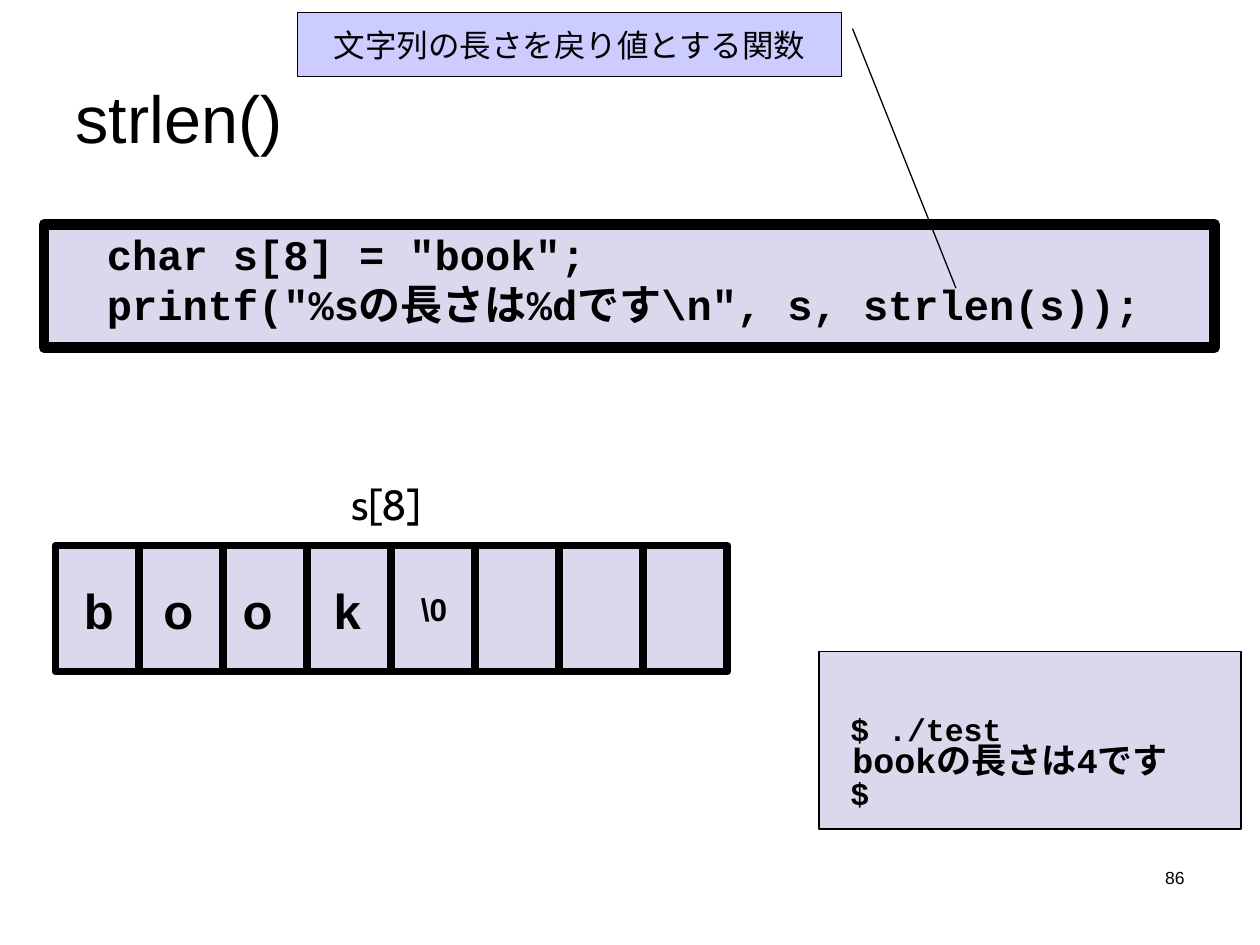
import pptx
import pptx.util
import pptx.dml.color
import pptx.enum.shapes
import pptx.enum.text
from dataclasses import dataclass
from typing import Optional

Inches = pptx.util.Inches
Pt = pptx.util.Pt
SHAPE = pptx.enum.shapes.MSO_SHAPE
ALIGN = pptx.enum.text.PP_ALIGN
ANCHOR = pptx.enum.text.MSO_ANCHOR

COLORS = {"ink": "000000", "panel": "D9D8EC", "callout": "CCCCFF"}


@dataclass
class Box:
    left: float
    top: float
    width: float
    height: float
    fill: str = "panel"
    line: Optional[float] = None
    shape: int = SHAPE.RECTANGLE


@dataclass
class Line:
    text: str
    size: float
    font: str = "Arial"
    bold: bool = False
    align: int = ALIGN.LEFT


def rgb(name: str) -> pptx.dml.color.RGBColor:
    return pptx.dml.color.RGBColor.from_string(COLORS[name])


def add_box(s, box: Box):
    sp = s.shapes.add_shape(box.shape, Inches(box.left), Inches(box.top),
                            Inches(box.width), Inches(box.height))
    sp.shadow.inherit = False
    sp.fill.solid()
    sp.fill.fore_color.rgb = rgb(box.fill)
    if box.line is None:
        sp.line.fill.background()
    else:
        sp.line.color.rgb = rgb("ink")
        sp.line.width = Pt(box.line)
    return sp


def add_label(s, left: float, top: float, width: float, height: float, line: Line):
    sp = s.shapes.add_textbox(Inches(left), Inches(top), Inches(width), Inches(height))
    write(sp, [line])


def write(sp, lines: list[Line], anchor: int = ANCHOR.TOP, margin_top: float = 0.05,
          spacing: float = 1.0, gap: float = 0) -> None:
    tf = sp.text_frame
    tf.word_wrap = True
    tf.vertical_anchor = anchor
    tf.margin_top = Inches(margin_top)
    for i, line in enumerate(lines):
        p = tf.add_paragraph() if i else tf.paragraphs[0]
        p.text = line.text
        p.alignment = line.align
        p.line_spacing = spacing
        p.space_before = Pt(gap if i else 0)
        p.font.name = line.font
        p.font.size = Pt(line.size)
        p.font.bold = line.bold
        p.font.color.rgb = rgb("ink")


def main() -> None:
    prs = pptx.Presentation()
    prs.slide_width, prs.slide_height = Inches(10), Inches(7.5)
    s = prs.slides.add_slide(prs.slide_layouts[5])

    # Title and page number
    title = s.shapes.title
    title.left, title.top = Inches(0.5), Inches(0.3)
    title.width, title.height = Inches(9), Inches(1.25)
    write(title, [Line("strlen()", 38)], anchor=ANCHOR.MIDDLE)
    add_label(s, 7.17, 6.83, 2.33, 0.5, Line("86", 10, align=ALIGN.RIGHT))

    # Source code
    code = add_box(s, Box(0.35, 1.78, 9.29, 0.98, line=6))
    write(code, [Line('  char s[8] = "book";', 24, "Courier New", True),
                 Line('  printf("%sの長さは%dです\\n", s, strlen(s));', 24, "Courier New", True)],
          margin_top=0.13, spacing=0.75, gap=7)

    # Array s[8]: backing, eight cells, then the stored characters
    add_box(s, Box(0.47, 4.33, 5.28, 1, line=0.75))
    cell = 2 / 3
    for i in range(8):
        add_box(s, Box(0.44 + i * cell, 4.33, cell, 1, line=4.5))
    add_label(s, 2.44, 3.75, 1.25, 0.5, Line("s[8]", 24, "Cabin", align=ALIGN.CENTER))
    for char, left in (("b", 0.55), ("o", 1.18), ("o", 1.81), ("k", 2.52)):
        write(add_box(s, Box(left, 4.53, 0.47, 0.57)),
              [Line(char, 28, bold=True, align=ALIGN.CENTER)], margin_top=0.08)
    write(add_box(s, Box(3.16, 4.61, 0.57, 0.4)),
          [Line("\\0", 18, bold=True, align=ALIGN.CENTER)], margin_top=0.07)

    # Program output
    output = add_box(s, Box(6.5, 5.17, 3.35, 1.41, line=0.75))
    write(output, [Line(text, size, "Courier New", True) for text, size in
                   ((" $ ./test", 18), (" bookの長さは4です", 20), (" $", 18))],
          margin_top=0.62, spacing=0.4, gap=9)

    # Callout pointing at strlen(s)
    callout = add_box(s, Box(2.36, 0.1, 4.32, 0.51, "callout", 0.75, SHAPE.LINE_CALLOUT_1))
    for i, value in enumerate((0.25, 1.02, 4.29, 1.21)):
        callout.adjustments[i] = value
    write(callout, [Line("文字列の長さを戻り値とする関数", 18, align=ALIGN.CENTER)],
          anchor=ANCHOR.MIDDLE)

    prs.save("out.pptx")


if __name__ == "__main__":
    main()
